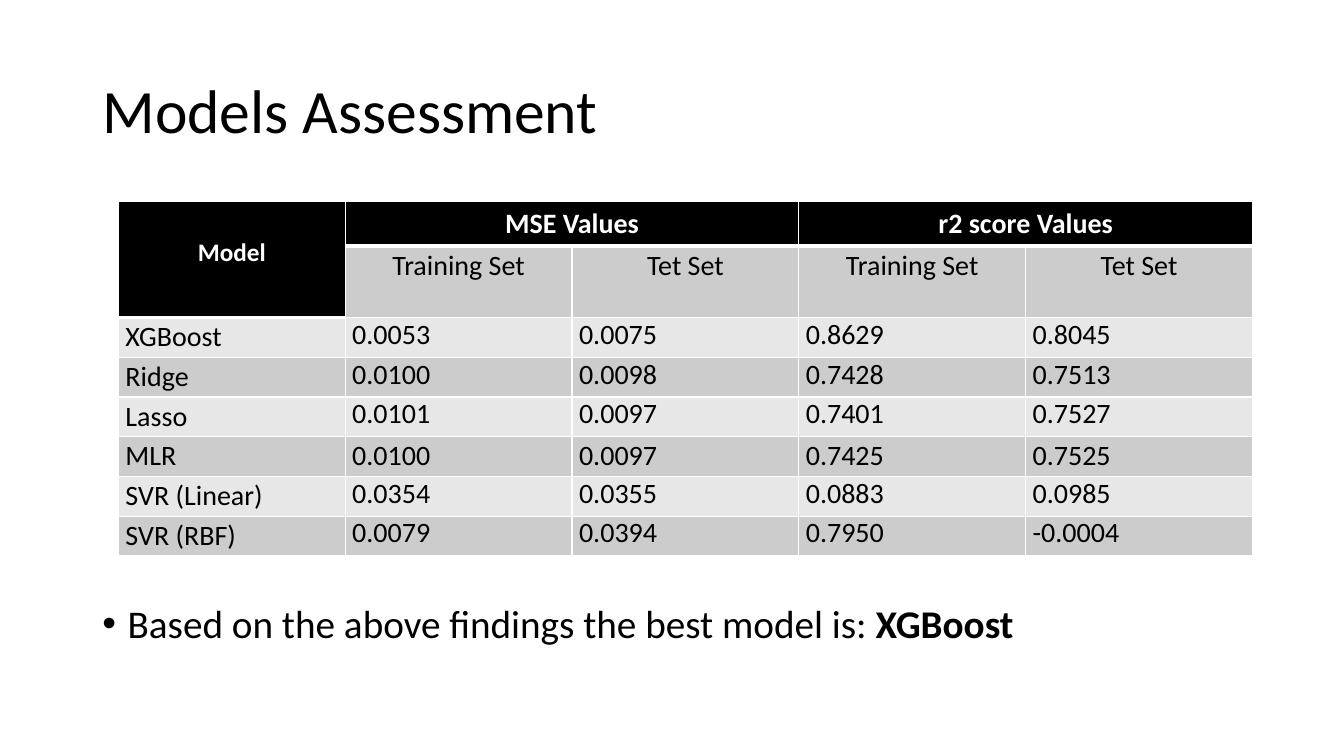
from dataclasses import dataclass

from lxml.etree import SubElement as Sub
from pptx import Presentation
from pptx.dml.color import RGBColor as RGB
from pptx.enum.text import MSO_ANCHOR as Anchor, PP_ALIGN as Align
from pptx.oxml.ns import qn
from pptx.util import Pt

TITLE = "Models Assessment"
FINDING = [("Based on the above findings the best model is: ", False), ("XGBoost", True)]
HEADS = [
    ["Model", "MSE Values", "", "r2 score Values", ""],
    ["", "Training Set", "Tet Set", "Training Set", "Tet Set"],
]
SCORES = [
    ["XGBoost", "0.0053", "0.0075", "0.8629", "0.8045"],
    ["Ridge", "0.0100", "0.0098", "0.7428", "0.7513"],
    ["Lasso", "0.0101", "0.0097", "0.7401", "0.7527"],
    ["MLR", "0.0100", "0.0097", "0.7425", "0.7525"],
    ["SVR (Linear)", "0.0354", "0.0355", "0.0883", "0.0985"],
    ["SVR (RBF)", "0.0079", "0.0394", "0.7950", "-0.0004"],
]
MERGES = [((0, 0), (1, 0)), ((0, 1), (0, 2)), ((0, 3), (0, 4))]


@dataclass
class Theme:
    font: str = "Calibri"
    ink: str = "000000"
    paper: str = "FFFFFF"
    dark: str = "CCCCCC"
    light: str = "E7E7E7"
    title: int = 44
    body: int = 28
    cell: int = 20
    model: int = 18


theme = Theme()


def write(para, text, size=theme.cell, color=theme.ink, bold=False, align=Align.LEFT, line=1.0):
    para.alignment = align
    para.line_spacing = line
    run = para.add_run()
    run.text = text
    font = run.font
    font.name, font.size, font.bold = theme.font, Pt(size), bold
    font.color.rgb = RGB.from_string(color)


def place(shape, left, top, width, height):
    shape.left, shape.top = Pt(left), Pt(top)
    shape.width, shape.height = Pt(width), Pt(height)


def border(cell, side, width):
    props = cell._tc.get_or_add_tcPr()
    edge = Sub(props, qn("a:ln" + side), w=str(Pt(width)))
    fill = Sub(edge, qn("a:solidFill"))
    Sub(fill, qn("a:srgbClr"), val=theme.paper)


def is_head(row, col):
    return row == 0 or (row, col) == (1, 0)


def style(cell, row, col, text):
    head = is_head(row, col)
    above = row > 0 and is_head(row - 1, col)
    for side, width in (("L", 1), ("R", 1), ("T", 3 if above else 1), ("B", 3 if head else 1)):
        border(cell, side, width)
    shade = theme.ink if head else (theme.light, theme.dark)[row % 2]
    cell.fill.solid()
    cell.fill.fore_color.rgb = RGB.from_string(shade)
    if not head:
        cell.margin_left = cell.margin_right = Pt(5)
        cell.margin_top = cell.margin_bottom = 0
    if not text:
        return
    loose = not head and (row == 1 or col == 0 or text == "MLR" or SCORES[row - 2][0] == "MLR")
    model = head and col == 0
    write(
        cell.text_frame.paragraphs[0], text,
        size=theme.model if model else theme.cell,
        color=theme.paper if head else theme.ink,
        bold=head,
        align=Align.CENTER if row < 2 else Align.LEFT,
        line=2.0 if model else 1.07 if loose else 1.0,
    )


def main():
    deck = Presentation()
    deck.slide_width, deck.slide_height = Pt(960), Pt(540)
    slide = deck.slides.add_slide(deck.slide_layouts[1])

    title = slide.shapes.title
    place(title, 66, 28.8, 828, 104.4)
    title.text_frame.vertical_anchor = Anchor.MIDDLE
    write(title.text_frame.paragraphs[0], TITLE, size=theme.title, line=0.9)

    body = slide.placeholders[1]
    place(body, 66, 428, 828, 58.8)
    para = body.text_frame.paragraphs[0]
    para.space_before = Pt(0)
    props = para._p.get_or_add_pPr()
    props.set("marL", str(Pt(18)))
    props.set("indent", str(Pt(-18)))
    for text, bold in FINDING:
        write(para, text, size=theme.body, bold=bold, line=0.9)

    rows = HEADS + SCORES
    tall = [31, 51] + [28.4] * len(SCORES)
    count = len(rows[0])
    frame = slide.shapes.add_table(len(rows), count, Pt(84.6), Pt(144), Pt(162 * count), Pt(sum(tall)))
    grid = frame.table
    for col in grid.columns:
        col.width = Pt(162)
    for row, (texts, height) in enumerate(zip(rows, tall)):
        grid.rows[row].height = Pt(height)
        for col, text in enumerate(texts):
            style(grid.cell(row, col), row, col, text)
    for start, end in MERGES:
        grid.cell(*start).merge(grid.cell(*end))

    deck.save("out.pptx")


if __name__ == "__main__":
    main()
